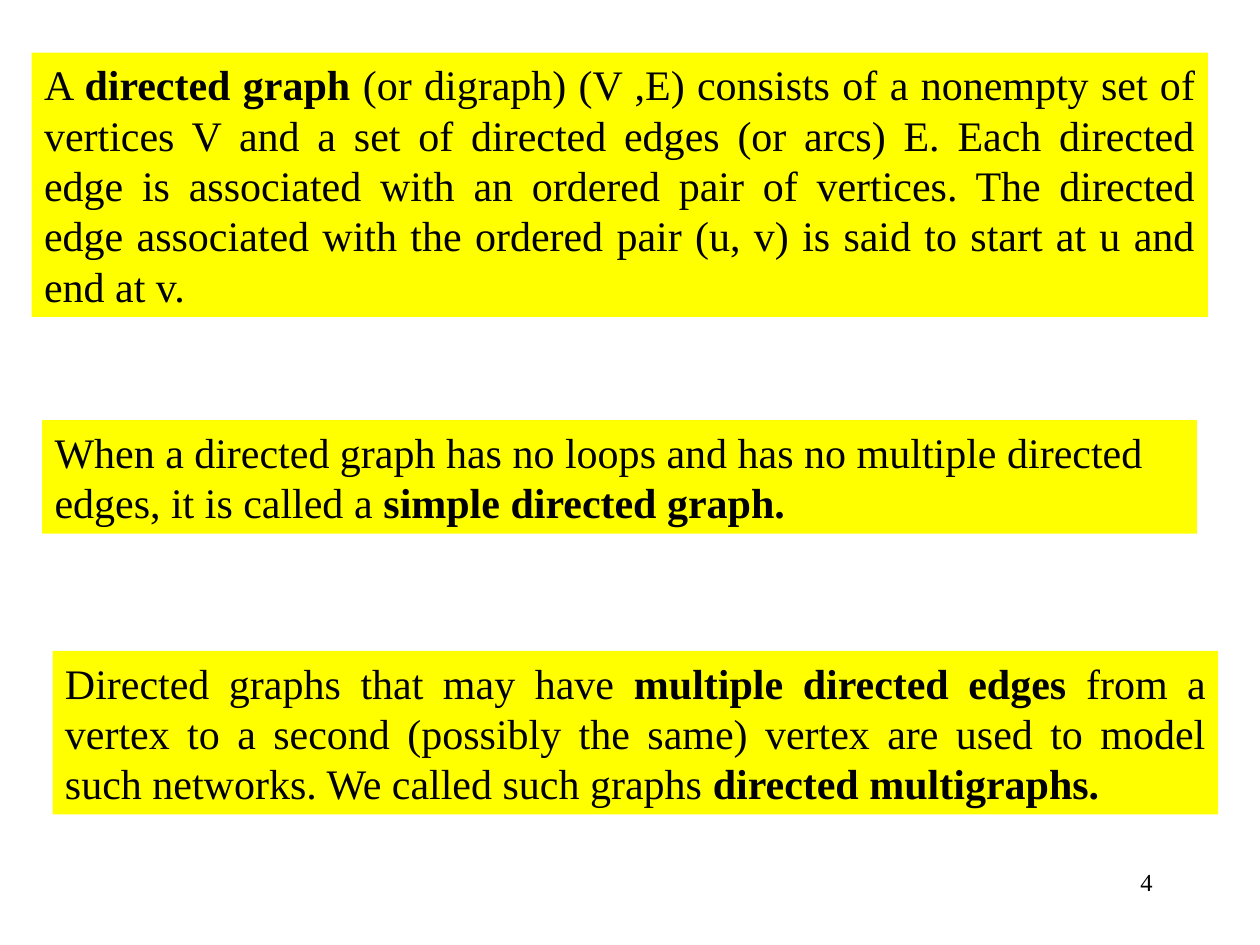
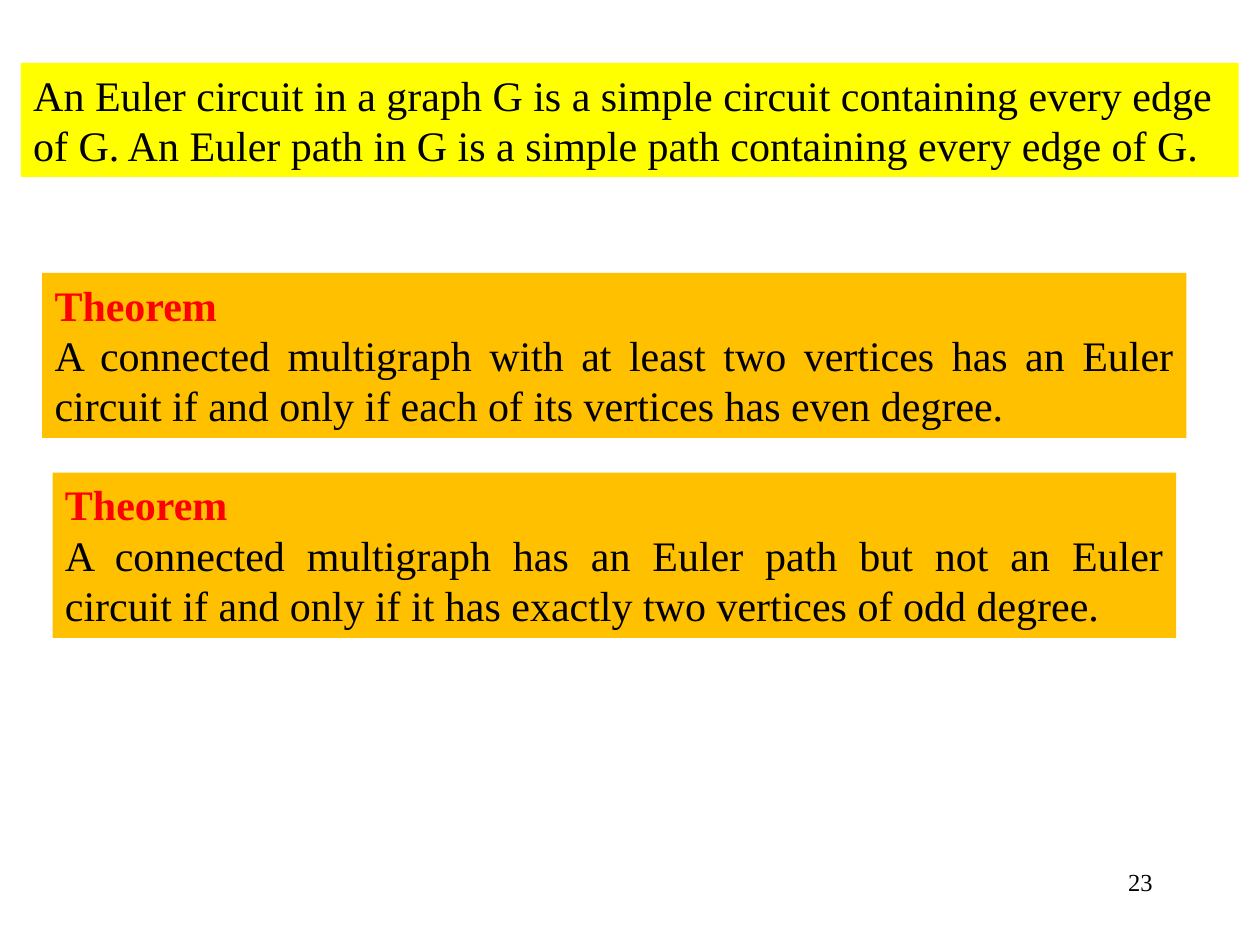
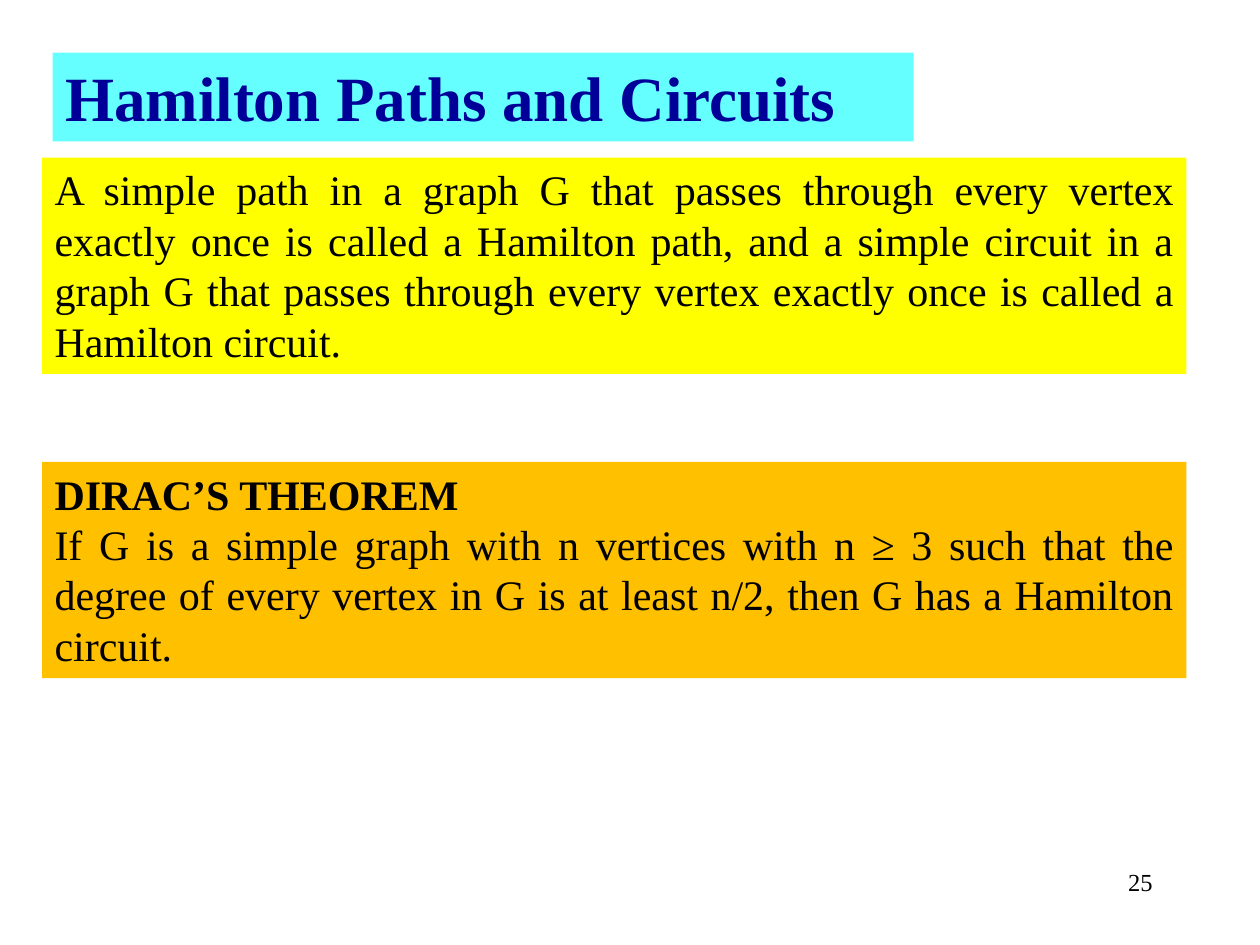
from pptx import Presentation
from pptx import util as u
from pptx.dml.color import RGBColor
from pptx.enum import text as t

FONT = "Times New Roman"
COLOURS = {
    "text": "000000", "theorem": "FF0000", "title": "000099",
    "definition": "FFFF00", "statement": "FFC000", "title band": "66FFFF",
}
LEFT, JUSTIFY, RIGHT = t.PP_ALIGN.LEFT, t.PP_ALIGN.JUSTIFY, t.PP_ALIGN.RIGHT
BOLD = {"bold": True}
THEOREM = {"bold": True, "colour": "theorem"}

# Places are left, top, width, height in centimetres
NUMBER_PLACE = (18.2, 17.36, 5.29, 1.27)
TITLE_PLACE = (1.06, 1.06, 17.36, 1.79)

# A paragraph is an alignment and its spans; a span is a text and its format
SLIDES = [
    {"number": "4", "boxes": [
        ("definition", (0.64, 1.06, 23.71, 5.33), [(JUSTIFY, [
            ("A ", {}),
            ("directed graph ", BOLD),
            ("(or digraph) (V ,E) consists of a nonempty set of vertices V and a set of "
             "directed edges (or arcs) E. Each directed edge is associated with an ordered "
             "pair of vertices. The directed edge associated with the ordered pair (u, v) "
             "is said to start at u and end at v.", {}),
        ])]),
        ("definition", (0.85, 8.47, 23.28, 2.29), [(LEFT, [
            ("When a directed graph has no loops and has no multiple directed edges, "
             "it is called a ", {}),
            ("simple directed graph.", BOLD),
        ])]),
        ("definition", (1.06, 13.12, 23.5, 3.3), [(JUSTIFY, [
            ("Directed graphs that may have ", {}),
            ("multiple directed edges ", BOLD),
            ("from a vertex to a second (possibly the same) vertex are used to model "
             "such networks. We called such graphs ", {}),
            ("directed multigraphs.", BOLD),
        ])]),
    ]},
    {"number": "23", "boxes": [
        ("definition", (0.42, 1.27, 24.55, 2.3), [(LEFT, [
            ("An Euler circuit in a graph G is a simple circuit containing every edge of G. "
             "An Euler path in G is a simple path containing every edge of G.", {}),
        ])]),
        ("statement", (0.85, 5.5, 23.07, 3.33), [
            (JUSTIFY, [("Theorem", THEOREM)]),
            (JUSTIFY, [("A connected multigraph with at least two vertices has an Euler "
                        "circuit if and only if each of its vertices has even degree.", {})]),
        ]),
        ("statement", (1.06, 9.53, 22.65, 3.33), [
            (JUSTIFY, [("Theorem", THEOREM)]),
            (JUSTIFY, [("A connected multigraph has an Euler path but not an Euler circuit "
                        "if and only if it has exactly two vertices of odd degree.", {})]),
        ]),
    ]},
    {"number": "25", "title": "Hamilton Paths and Circuits", "boxes": [
        ("definition", (0.85, 3.18, 23.07, 4.36), [(JUSTIFY, [
            ("A simple path in a graph G that passes through every vertex exactly once is "
             "called a Hamilton path, and a simple circuit in a graph G that passes through "
             "every vertex exactly once is called a Hamilton circuit.", {}),
        ])]),
        ("statement", (0.85, 9.31, 23.07, 4.36), [
            (LEFT, [("DIRAC’S THEOREM", BOLD)]),
            (JUSTIFY, [("If G is a simple graph with n vertices with n ≥ 3 such that the "
                        "degree of every vertex in G is at least n/2, then G has a Hamilton "
                        "circuit.", {})]),
        ]),
    ]},
]


def add_span(para, words, size=24, colour="text", bold=False):
    span = para.add_run()
    span.text = words
    span.font.name = FONT
    span.font.size = u.Pt(size)
    span.font.bold = bold
    span.font.color.rgb = RGBColor.from_string(COLOURS[colour])


def write(box, paragraphs, fill=None, auto_size=t.MSO_AUTO_SIZE.NONE):
    """Fill a box with colour and formatted paragraphs."""
    if fill:
        box.fill.solid()
        box.fill.fore_color.rgb = RGBColor.from_string(COLOURS[fill])
    frame = box.text_frame
    frame.word_wrap = True
    frame.auto_size = auto_size
    frame.vertical_anchor = t.MSO_ANCHOR.TOP
    for index, (alignment, spans) in enumerate(paragraphs):
        para = frame.add_paragraph() if index else frame.paragraphs[0]
        para.alignment = alignment
        for words, style in spans:
            add_span(para, words, **style)


def add_box(page, place, paragraphs, **style):
    write(page.shapes.add_textbox(*map(u.Cm, place)), paragraphs, **style)


def add_title(page, words):
    title = page.shapes.title
    title.left, title.top, title.width, title.height = map(u.Cm, TITLE_PLACE)
    style = {"size": 36, "colour": "title", "bold": True}
    write(title, [(LEFT, [(words, style)])], fill="title band")


def main():
    deck = Presentation()
    deck.slide_width, deck.slide_height = u.Cm(25.4), u.Cm(19.05)
    title_only, blank = deck.slide_layouts[5], deck.slide_layouts[6]

    for content in SLIDES:
        page = deck.slides.add_slide(title_only if "title" in content else blank)
        if "title" in content:
            add_title(page, content["title"])
        for fill, place, paragraphs in content["boxes"]:
            add_box(page, place, paragraphs, fill=fill,
                    auto_size=t.MSO_AUTO_SIZE.SHAPE_TO_FIT_TEXT)
        # Slide number
        add_box(page, NUMBER_PLACE, [(RIGHT, [(content["number"], {"size": 14})])])

    deck.save("out.pptx")


if __name__ == "__main__":
    main()
